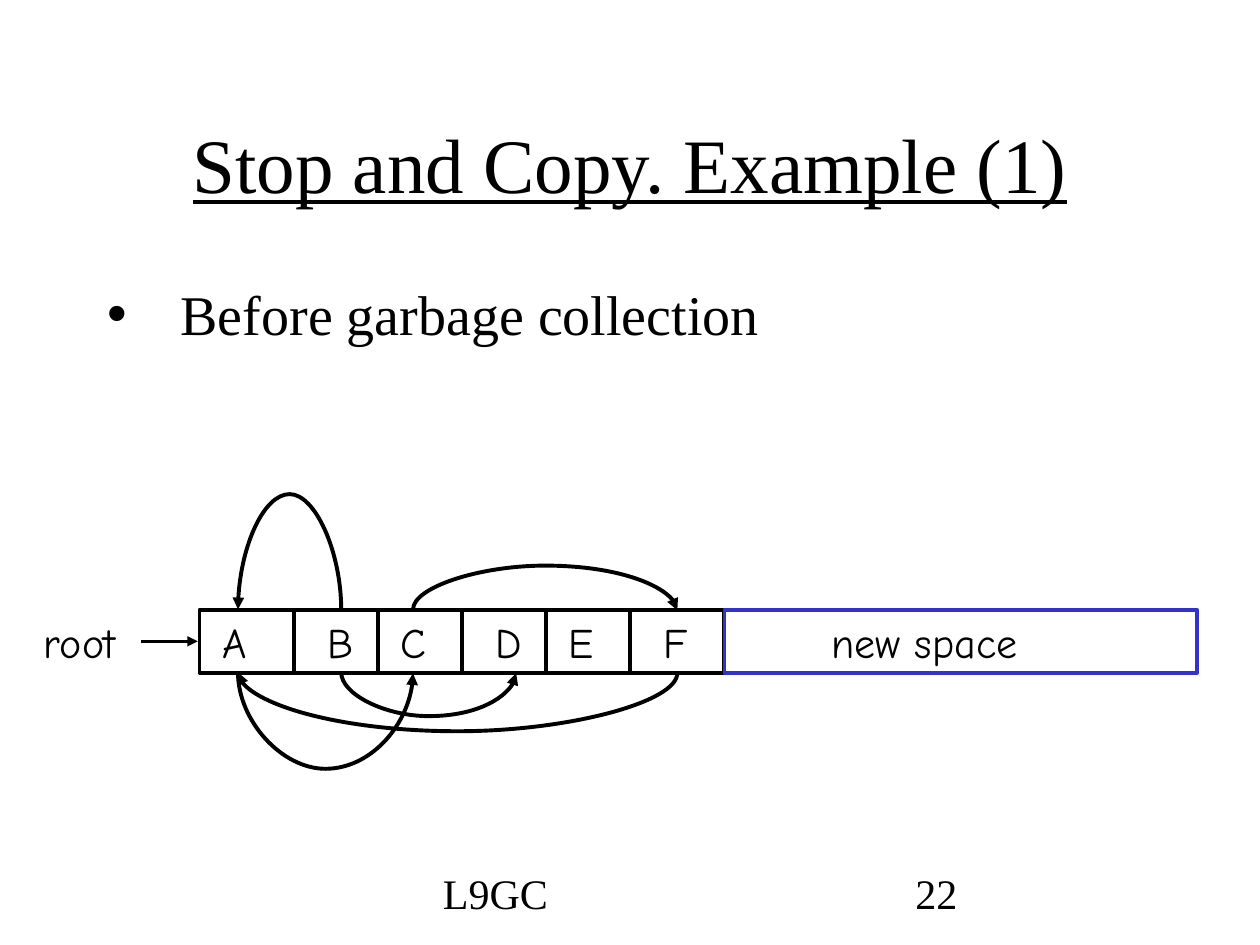
from lxml import etree
from pptx import Presentation
from pptx.dml.color import RGBColor
from pptx.enum import shapes, text
from pptx.oxml import ns
from pptx.util import Pt

COLORS = {"ink": "000000", "new": "3333CC"}
SERIF, HAND = "Times New Roman", "Comic Neue"


def write(frame, content, size=24, font=HAND, color="ink", underline=None,
          align=text.PP_ALIGN.LEFT, anchor=text.MSO_ANCHOR.TOP, before=0):
    frame.word_wrap = True
    frame.auto_size = text.MSO_AUTO_SIZE.NONE
    frame.vertical_anchor = anchor
    paragraph = frame.paragraphs[0]
    paragraph.alignment = align
    paragraph.space_before = Pt(before)
    run = paragraph.add_run()
    run.text = content
    run.font.size = Pt(size)
    run.font.name = font
    run.font.underline = underline
    run.font.color.rgb = RGBColor.from_string(COLORS[color])
    return paragraph


class HeapSlide:
    border = 2.25
    bend_span = 0.5

    def __init__(self, deck):
        self.slide = deck.slides.add_slide(deck.slide_layouts[1])
        self.shapes = self.slide.shapes

    def placeholder(self, index, box, content, **style):
        holder = self.slide.placeholders[index]
        holder.left, holder.top, holder.width, holder.height = map(Pt, box)
        return write(holder.text_frame, content, **style)

    def bullet(self, paragraph, indent):
        props = paragraph._p.get_or_add_pPr()
        props.set("marL", str(Pt(indent)))
        props.set("indent", str(-Pt(indent)))
        etree.SubElement(props, ns.qn("a:buChar")).set("char", "•")

    def label(self, box, content, **style):
        write(self.shapes.add_textbox(*map(Pt, box)).text_frame, content, **style)

    def cell(self, box, color="ink"):
        cell = self.shapes.add_shape(shapes.MSO_SHAPE.RECTANGLE, *map(Pt, box))
        cell.shadow.inherit = False
        cell.fill.background()
        cell.line.color.rgb = RGBColor.from_string(COLORS[color])
        cell.line.width = Pt(self.border)

    def arrow(self, kind, start, end, width):
        arrow = self.shapes.add_connector(kind, *map(Pt, start + end))
        arrow.line.color.rgb = RGBColor.from_string(COLORS["ink"])
        arrow.line.width = Pt(width)
        etree.SubElement(arrow.line._get_or_add_ln(), ns.qn("a:tailEnd")).set("type", "triangle")
        etree.SubElement(arrow._element.spPr, ns.qn("a:effectLst"))
        return arrow

    def pointer(self, source, target, edge, depth):
        rightward = target > source
        span, reach = self.bend_span, abs(target - source)
        left = (source + target - span) / 2
        top = edge - reach / 2
        arrow = self.arrow(shapes.MSO_CONNECTOR.CURVE, (left, top),
                           (left + span, top + reach), self.border)
        props = arrow._element.spPr
        frame = props.find(ns.qn("a:xfrm"))
        frame.set("rot", str(270 * 60000))
        frame.set("flipH" if rightward else "flipV", "1")
        bend = depth / span if rightward else -depth / span
        guides = props.find(ns.qn("a:prstGeom")).get_or_add_avLst()
        guide = etree.SubElement(guides, ns.qn("a:gd"))
        guide.set("name", "adj1")
        guide.set("fmla", f"val {round(bend * 100000)}")


deck = Presentation()
deck.slide_width, deck.slide_height = Pt(720), Pt(540)
heap = HeapSlide(deck)

heap.placeholder(0, (54, 48, 612, 90), "Stop and Copy. Example (1)", size=44, font=SERIF,
                 underline=True, align=text.PP_ALIGN.CENTER, anchor=text.MSO_ANCHOR.MIDDLE)
topic = heap.placeholder(1, (54, 156, 612, 78.5), "Before garbage collection",
                         size=32, font=SERIF, before=8)
heap.bullet(topic, 42)

ROW_TOP, ROW_HEIGHT = 348.5, 36
ROW_BOTTOM = ROW_TOP + ROW_HEIGHT
objects = [("A", 54, 120, 32), ("B", 48, 180, 30), ("C", 48, 222, 29),
           ("D", 48, 276, 38), ("E", 48, 318, 30), ("F", 54, 372, 29)]
cell_left = 114
for name, cell_width, name_left, name_width in objects:
    heap.cell((cell_left, ROW_TOP, cell_width, ROW_HEIGHT))
    heap.label((name_left, ROW_TOP, name_width, ROW_HEIGHT), name)
    cell_left += cell_width
heap.cell((cell_left, ROW_TOP, 270, ROW_HEIGHT), "new")
heap.label((468, ROW_TOP, 126, ROW_HEIGHT), "new space")

heap.label((18, ROW_TOP, 63, ROW_HEIGHT), "root")
root_level = ROW_TOP + ROW_HEIGHT / 2
heap.arrow(shapes.MSO_CONNECTOR.STRAIGHT, (80.5, root_level), (113, root_level), 1.5)

ports = {"A": 136, "B": 195, "C": 236, "D": 295, "F": 387}
for source, target, edge, depth in [
        ("A", "C", ROW_BOTTOM, 54), ("C", "F", ROW_TOP, -24.5), ("B", "D", ROW_BOTTOM, 24.5),
        ("B", "A", ROW_TOP, -65), ("F", "A", ROW_BOTTOM, 32.5)]:
    heap.pointer(ports[source], ports[target], edge, depth)

heap.label((246, 492, 228, 36), "L9GC", font=SERIF)
heap.label((516, 492, 150, 36), "22", font=SERIF)

deck.save("out.pptx")
